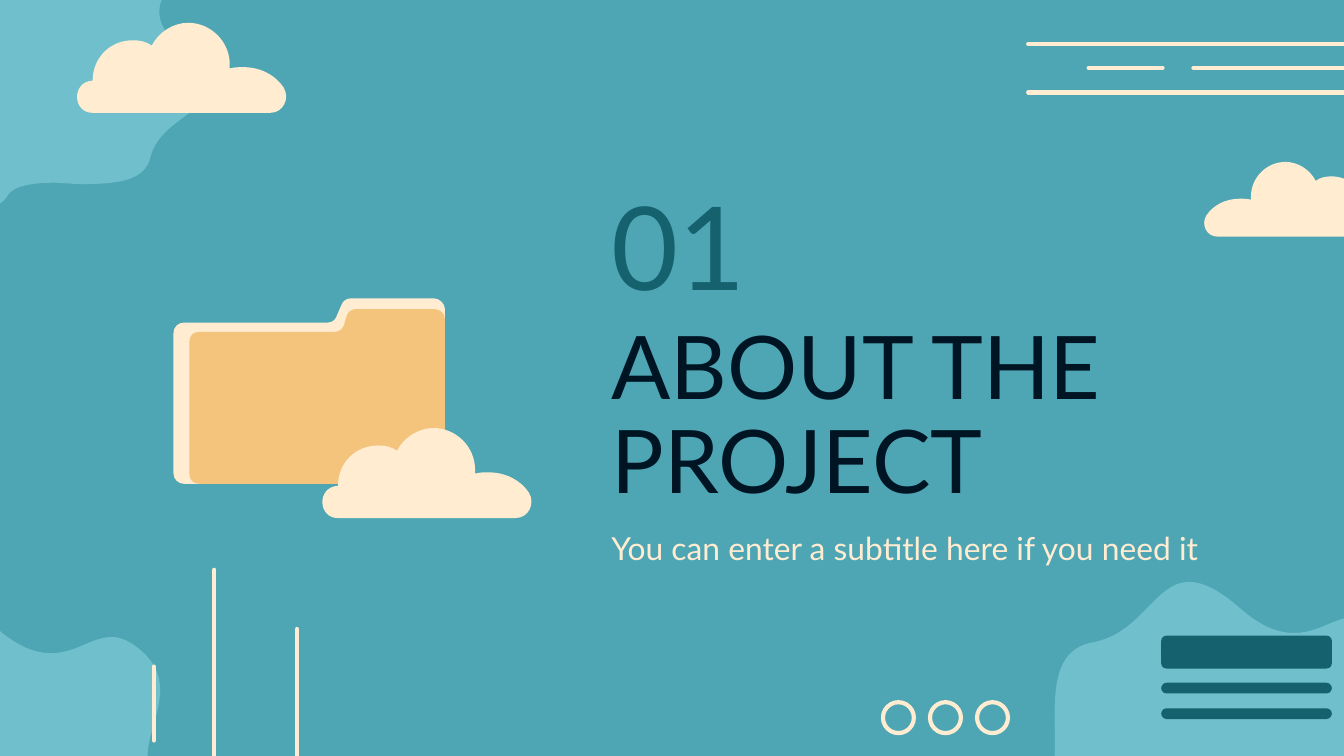
from lxml.etree import SubElement
from pptx import Presentation
from pptx.dml.color import RGBColor
from pptx.enum.shapes import MSO_CONNECTOR, MSO_SHAPE
from pptx.enum.text import MSO_ANCHOR, PP_ALIGN
from pptx.oxml.ns import qn
from pptx.util import Inches, Pt

TEAL = RGBColor(0x4E, 0xA6, 0xB4)
AQUA = RGBColor(0x70, 0xBF, 0xCC)
CREAM = RGBColor(0xFF, 0xEC, 0xD1)
SAND = RGBColor(0xF4, 0xC4, 0x7C)
PETROL = RGBColor(0x15, 0x61, 0x6D)
NAVY = RGBColor(0x00, 0x15, 0x24)

deck = Presentation()
deck.slide_width = Inches(10)
deck.slide_height = Inches(5.625)
CELL = deck.slide_width // 100
page = deck.slides.add_slide(deck.slide_layouts[5])
page.background.fill.solid()
page.background.fill.fore_color.rgb = TEAL

HILL = [
    (12.7, 0), (10.1, 0, 9.2, 3.8, 5.5, 4.5), (0.4, 5.4, 4.4, 14.3, 1.5, 15.7),
    (0.4, 16.2, 0.1, 17.1, 0.1, 18.1), (0, 19.9, 0.6, 21.5, 2.4, 21.5), (29.4, 21.5),
    (30.5, 21.5, 30, 21, 30.6, 20.1), (31.7, 18.4, 32.8, 15.6, 29.6, 14.1),
    (24.7, 11.8, 31.2, 7.2, 27.3, 3.7), (26.4, 2.9, 25.7, 2.6, 25, 2.6),
    (24.3, 2.6, 23.6, 2.9, 22.9, 3.2), (22.2, 3.5, 21.4, 3.8, 20.5, 3.8),
    (19.4, 3.8, 18.1, 3.4, 16.4, 1.9), (14.8, 0.5, 13.6, 0, 12.7, 0),
]
CORNER_BLOB = [
    (4.3, 0), (5.3, 0, 6.3, 0.4, 7, 1.5), (7.7, 2.6, 8.6, 2.9, 9.5, 2.9),
    (10.2, 2.9, 11, 2.7, 11.8, 2.6), (12.6, 2.4, 13.4, 2.2, 14.2, 2.2),
    (15.1, 2.2, 16.1, 2.4, 16.9, 3.2), (20.3, 5.9, 13.8, 6.7, 18.6, 11),
    (23.4, 15.3, 17, 15.1, 16.1, 18.8), (15.7, 20.6, 13.5, 20.8, 11.1, 20.8),
    (10.8, 20.8, 10.4, 20.8, 10, 20.75), (9.7, 20.75, 9.3, 20.7, 9, 20.7),
    (7.4, 20.7, 6, 20.9, 5.5, 21.6), (5.1, 22.4, 4.2, 22.6, 3.2, 22.6), (3.1, 22.6),
    (1.5, 22.6, 0.1, 21.6, 0.1, 20.4), (0, 2.7), (0, 1.9, 0.5, 1.2, 1.4, 0.8),
    (2.2, 0.4, 3.2, 0, 4.3, 0),
]
CLOUD = [
    (8.7, 0), (7.6, 0, 6.5, 0.7, 6, 1.7), (5.6, 1.4, 5.1, 1.3, 4.6, 1.3),
    (2.9, 1.3, 1.6, 2.6, 1.6, 4.3), (0, 4.4, 0.1, 6.7, 1.6, 6.7), (14.8, 6.7),
    (15.8, 6.7, 16.3, 5.6, 15.8, 4.8), (15.2, 3.9, 14.1, 3.3, 12.8, 3.3),
    (12.5, 3.3, 12.1, 3.3, 11.8, 3.4), (11.8, 3.3, 11.8, 3.2, 11.8, 3.1),
    (11.8, 1.4, 10.4, 0, 8.7, 0),
]
SMALL_CLOUD = [[0.83 * (value if index % 2 else 16.3 - value) for index, value in enumerate(step)]
               for step in CLOUD]
FOLDER_BACK = [
    (13.2, 0), (12.9, 0, 12.6, 0.2, 12.5, 0.5), (12.2, 1.2),
    (12.1, 1.6, 11.8, 1.8, 11.5, 1.8), (0.8, 1.8), (0.4, 1.8, 0, 2.1, 0, 2.6),
    (0, 13), (0, 13.5, 0.4, 13.8, 0.8, 13.8), (19.4, 13.8),
    (19.8, 13.8, 20.2, 13.5, 20.2, 13), (20.2, 0.8), (20.2, 0.4, 19.8, 0, 19.4, 0),
]
FOLDER_FRONT = [
    (12.4, 0), (12.1, 0, 11.8, 0.2, 11.7, 0.5), (11.5, 1.2),
    (11.4, 1.5, 11.1, 1.7, 10.8, 1.7), (0.7, 1.7), (0.3, 1.7, 0, 2, 0, 2.4),
    (0, 12.3), (0, 12.7, 0.3, 13, 0.7, 13), (18.2, 13),
    (18.6, 13, 19, 12.7, 19, 12.2), (19, 0.7), (19, 0.3, 18.6, 0, 18.2, 0),
]


def add_outline(outline, color, left, top):
    builder = page.shapes.build_freeform(0, 0, CELL)
    builder.add_line_segments([step[-2:] for step in outline])
    shape = builder.convert_to_shape()
    shape.left, shape.top = int(left * CELL), int(top * CELL)
    shape.width = int(max(max(step[::2]) for step in outline) * CELL)
    shape.height = int(max(max(step[1::2]) for step in outline) * CELL)
    shape.shadow.inherit = False
    shape.fill.solid()
    shape.fill.fore_color.rgb = color
    shape.line.fill.background()
    curve = next(shape._element.iter(qn("a:path")))
    for segment in list(curve):
        curve.remove(segment)
    curve.set("w", str(shape.width))
    curve.set("h", str(shape.height))
    for number, step in enumerate(outline):
        kind = "a:moveTo" if number == 0 else "a:lnTo" if len(step) == 2 else "a:cubicBezTo"
        segment = SubElement(curve, qn(kind))
        for x, y in zip(step[::2], step[1::2]):
            SubElement(segment, qn("a:pt"), x=str(int(x * CELL)), y=str(int(y * CELL)))
    SubElement(curve, qn("a:close"))


def write_text(box, text, size, color, left, top, width, height, spacing=1):
    box.left, box.top = int(left * CELL), int(top * CELL)
    box.width, box.height = int(width * CELL), int(height * CELL)
    frame = box.text_frame
    frame.word_wrap = True
    frame.vertical_anchor = MSO_ANCHOR.MIDDLE
    frame.margin_left = frame.margin_right = CELL
    frame.margin_top = frame.margin_bottom = CELL
    para = frame.paragraphs[0]
    para.alignment = PP_ALIGN.LEFT
    para.line_spacing = spacing
    span = para.add_run()
    span.text = text
    span.font.name = "Lato"
    span.font.size = Pt(size)
    span.font.color.rgb = color


add_outline(HILL, AQUA, 75.8, 43.3)
add_outline(CORNER_BLOB, AQUA, -4.9, -7.1)
add_outline(HILL, AQUA, -16.7, 44.8)

strokes = [
    (76.5, 6.88, 100, 6.88), (88.8, 5.05, 100, 5.05), (81, 5.05, 86.5, 5.05),
    (76.5, 3.28, 100, 3.28), (15.95, 65.9, 15.95, 42.4), (22.1, 58, 22.1, 46.8),
    (11.45, 55.1, 11.45, 49.6),
]
for ends in strokes:
    stroke = page.shapes.add_connector(MSO_CONNECTOR.STRAIGHT, *[int(end * CELL) for end in ends])
    stroke.line.color.rgb = CREAM
    stroke.line.width = Pt(2.25)
    properties = stroke._element.spPr
    properties.find(qn("a:ln")).set("cap", "rnd")
    SubElement(properties, qn("a:effectLst"))

for top, height, rounding in [(47.3, 2.45, 0.16), (50.8, 0.8, 0.5), (52.7, 0.8, 0.5)]:
    bar = page.shapes.add_shape(MSO_SHAPE.ROUNDED_RECTANGLE, int(86.4 * CELL), int(top * CELL),
                                int(12.7 * CELL), int(height * CELL))
    bar.adjustments[0] = rounding
    bar.shadow.inherit = False
    bar.fill.solid()
    bar.fill.fore_color.rgb = PETROL
    bar.line.fill.background()

for column in range(3):
    ring = page.shapes.add_shape(MSO_SHAPE.OVAL, int((65.7 + 3.5 * column) * CELL),
                                 int(52.25 * CELL), int(2.3 * CELL), int(2.3 * CELL))
    ring.shadow.inherit = False
    ring.fill.background()
    ring.line.color.rgb = CREAM
    ring.line.width = Pt(2.25)

add_outline(CLOUD, CREAM, 5.3, 1.7)

write_text(page.shapes.title, "ABOUT THE PROJECT", 47, NAVY, 44.5, 23.2, 39.7, 15.8, 0.9)
number_box = page.shapes.add_textbox(0, 0, CELL, CELL)
write_text(number_box, "01", 62, PETROL, 44.5, 13.6, 13.3, 9.2)
subtitle_box = page.shapes.add_textbox(0, 0, CELL, CELL)
write_text(subtitle_box, "You can enter a subtitle here if you need it", 17, CREAM,
           44.5, 38.15, 47.7, 5.2)

add_outline(FOLDER_BACK, CREAM, 12.9, 22.2)
add_outline(FOLDER_FRONT, SAND, 14.1, 23)
add_outline(CLOUD, CREAM, 23.55, 31.85)
add_outline(SMALL_CLOUD, CREAM, 89.35, 12.05)

deck.save("out.pptx")
